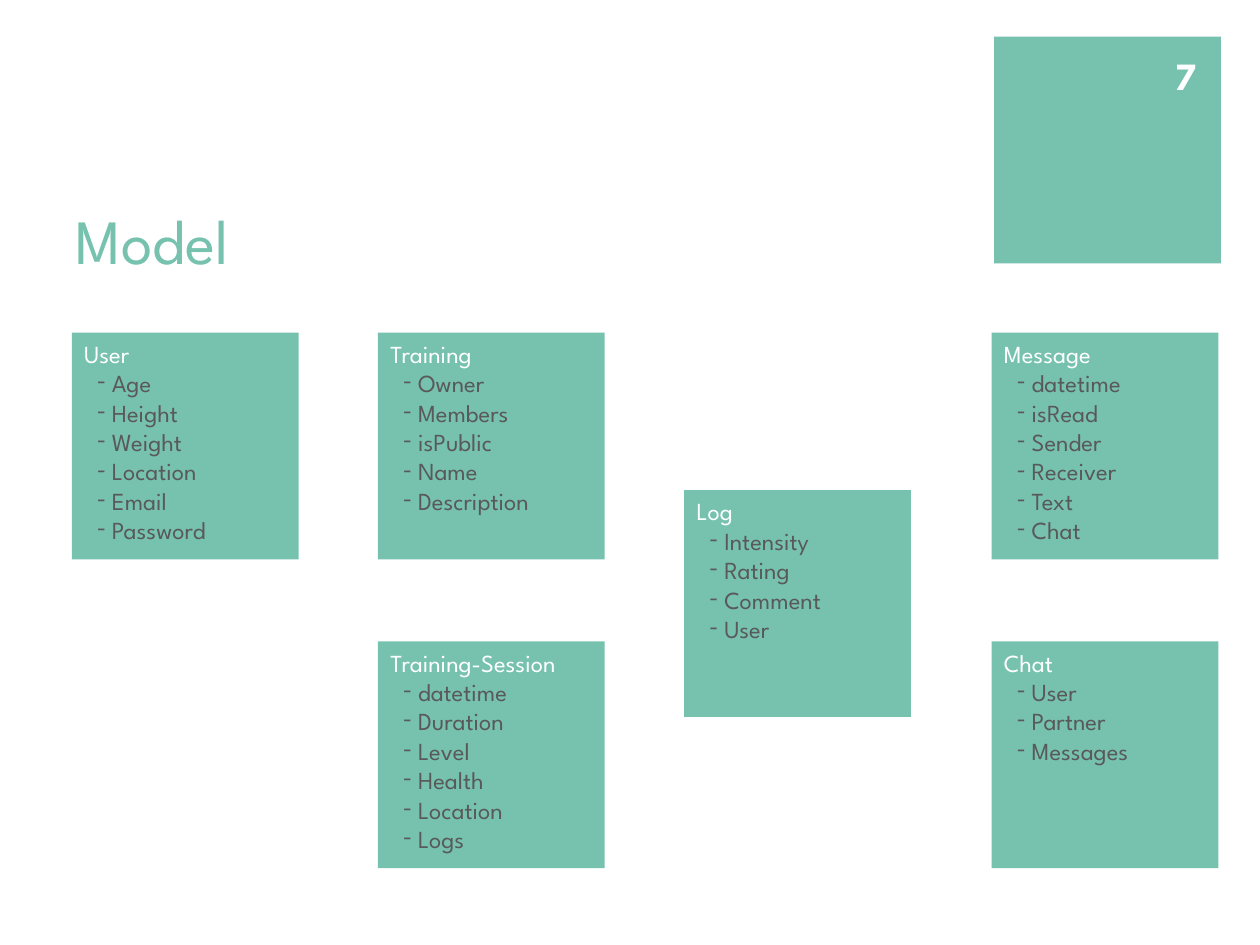
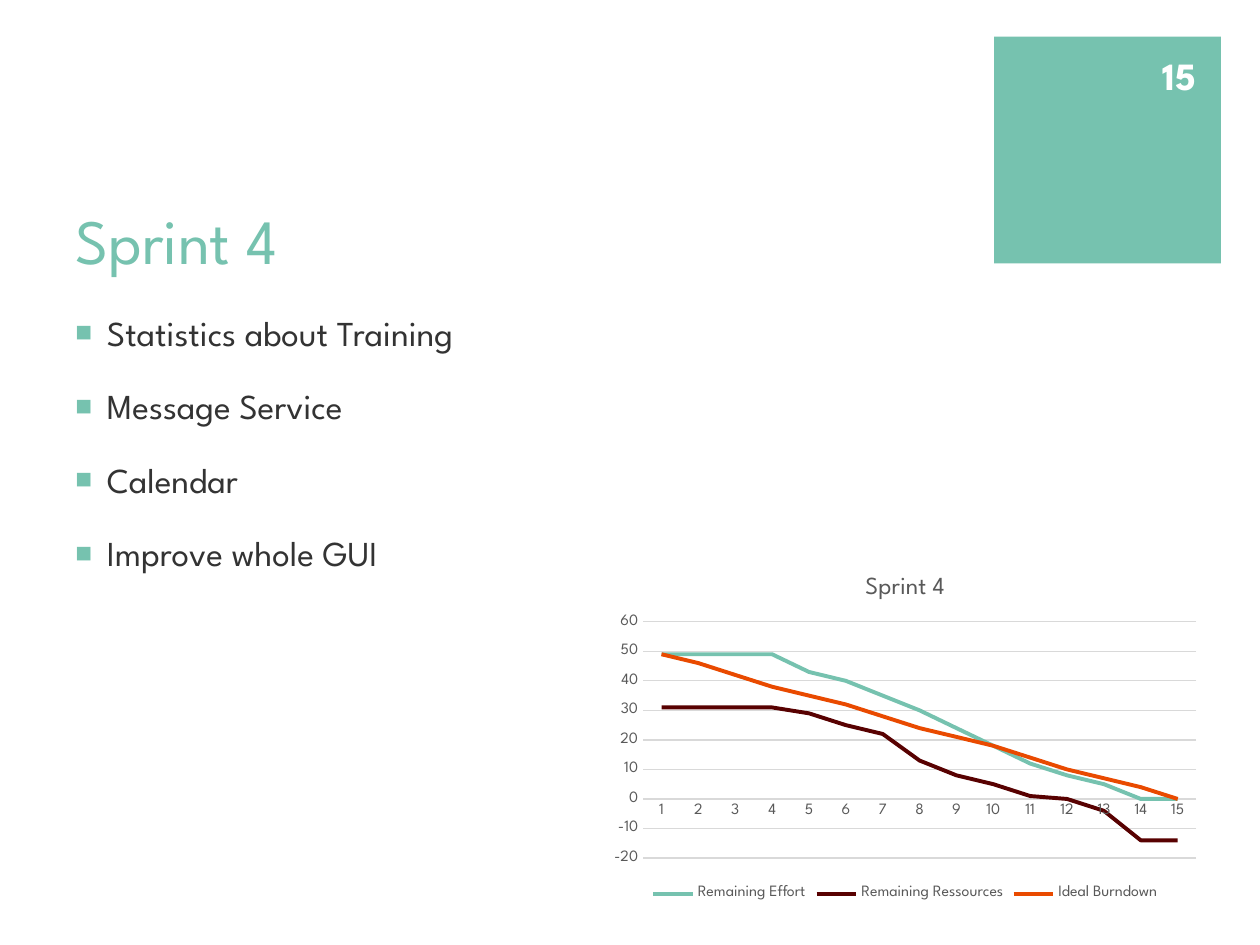
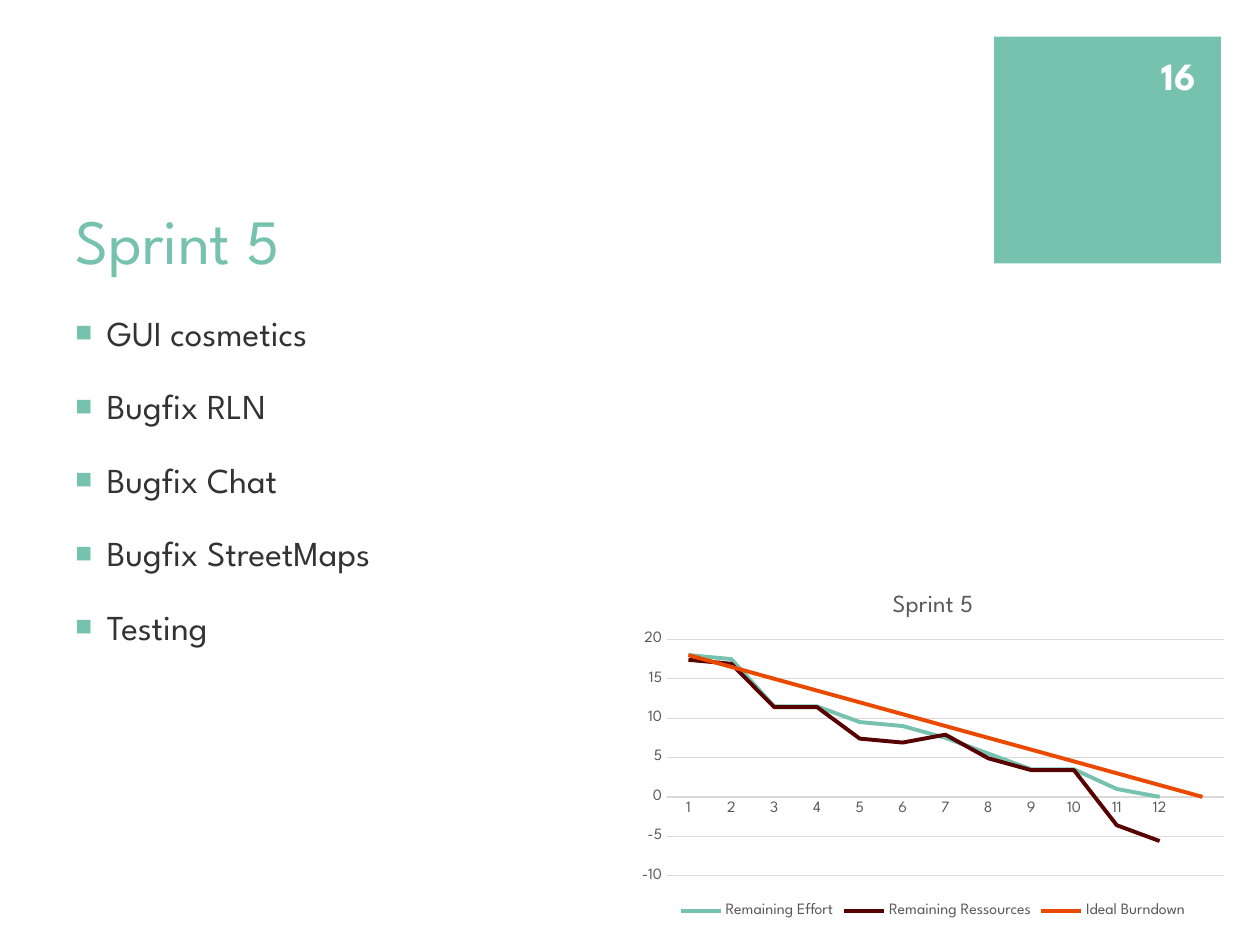
from lxml import etree
from pptx import Presentation
from pptx.chart.data import CategoryChartData
from pptx.dml.color import RGBColor
from pptx.enum.chart import XL_CHART_TYPE, XL_LEGEND_POSITION, XL_TICK_MARK
from pptx.enum.shapes import MSO_SHAPE
from pptx.enum.text import MSO_ANCHOR, MSO_AUTO_SIZE, PP_ALIGN
from pptx.oxml.ns import qn
from pptx.util import Inches, Pt

LINE = XL_CHART_TYPE.LINE
BOTTOM = XL_LEGEND_POSITION.BOTTOM
NO_TICK = XL_TICK_MARK.NONE
RECT = MSO_SHAPE.RECTANGLE
TOP, MIDDLE, BASE = MSO_ANCHOR.TOP, MSO_ANCHOR.MIDDLE, MSO_ANCHOR.BOTTOM
FIXED = MSO_AUTO_SIZE.NONE
LEFT, RIGHT = PP_ALIGN.LEFT, PP_ALIGN.RIGHT

FONT = "League Spartan"
GREEN, MAROON, ORANGE = "76C2AF", "580101", "E94A00"
WHITE, DARK, GREY, PALE = "FFFFFF", "333333", "595959", "D9D9D9"
SIDE = 1.8
COLS = [0.57, 3, 5.43, 7.87]
ROWS = [2.64, 3.89, 5.09]

CARDS = [
    (0, 0, "User", ["Age", "Height", "Weight", "Location", "Email", "Password"]),
    (1, 0, "Training", ["Owner", "Members", "isPublic", "Name", "Description"]),
    (1, 2, "Training-Session",
     ["datetime", "Duration", "Level", "Health", "Location", "Logs"]),
    (2, 1, "Log", ["Intensity", "Rating", "Comment", "User"]),
    (3, 2, "Chat", ["User", "Partner", "Messages"]),
    (3, 0, "Message", ["datetime", "isRead", "Sender", "Receiver", "Text", "Chat"]),
]
SERIES = [("Remaining Effort", GREEN), ("Remaining Ressources", MAROON),
          ("Ideal Burndown", ORANGE)]
SPRINTS = [
    {"title": "Sprint 4", "page": 15, "place": (4.78, 4.42),
     "goals": ["Statistics about Training", "Message Service", "Calendar",
               "Improve whole GUI"],
     "days": [str(day) for day in range(1, 16)], "scale": (-20, 60, 10),
     "data": [[49, 49, 49, 49, 43, 40, 35, 30, 24, 18, 12, 8, 5, 0, 0],
              [31, 31, 31, 31, 29, 25, 22, 13, 8, 5, 1, 0, -4, -14, -14],
              [round(49 - 3.5 * day) for day in range(15)]]},
    {"title": "Sprint 5", "page": 16, "place": (5, 4.56),
     "goals": ["GUI cosmetics", "Bugfix RLN", "Bugfix Chat", "Bugfix StreetMaps",
               "Testing"],
     "days": [str(day) for day in range(1, 13)] + [""], "scale": (-10, 20, 5),
     "data": [[18, 17.5, 11.5, 11.5, 9.5, 9, 7.5, 5.5, 3.5, 3.5, 1, 0, None],
              [17.4, 16.9, 11.4, 11.4, 7.4, 6.9, 7.9, 4.9, 3.4, 3.4, -3.6, -5.6,
               None],
              [18 - 1.5 * day for day in range(13)]]},
]


def rgb(code):
    """Turn a hex string into a colour."""
    return RGBColor.from_string(code)


def style(font, size, color, bold=False):
    """Set the face, size and colour of a font."""
    font.name, font.size, font.bold = FONT, Pt(size), bold
    font.color.rgb = rgb(color)


def write(para, text, size, color, bold=False, align=LEFT):
    """Fill a paragraph with one styled text."""
    para.text = text
    para.alignment = align
    for run in para.runs:
        style(run.font, size, color, bold)


def bullet(para, char, face, scale, color, left, hang):
    """Give a paragraph a coloured bullet and a hanging indent."""
    props = para._p.get_or_add_pPr()
    props.set("marL", str(Inches(left)))
    props.set("indent", str(-Inches(hang)))
    tint = etree.SubElement(props, qn("a:buClr"))
    etree.SubElement(tint, qn("a:srgbClr"), val=color)
    etree.SubElement(props, qn("a:buSzPct"), val=str(scale * 1000))
    etree.SubElement(props, qn("a:buFont"), typeface=face)
    etree.SubElement(props, qn("a:buChar"), char=char)


def add_square(slide, left, top):
    """Add a plain green square."""
    square = slide.shapes.add_shape(RECT, Inches(left), Inches(top),
                                    Inches(SIDE), Inches(SIDE))
    square.shadow.inherit = False
    square.fill.solid()
    square.fill.fore_color.rgb = rgb(GREEN)
    square.line.fill.background()
    return square


def add_box(slide, left, top, width, height):
    """Add a wrapping text box and return its frame."""
    box = slide.shapes.add_textbox(Inches(left), Inches(top),
                                   Inches(width), Inches(height))
    box.text_frame.word_wrap = True
    return box.text_frame


def add_slide(deck, title, page):
    """Add a slide with its title, corner square and page number."""
    slide = deck.slides.add_slide(deck.slide_layouts[5])
    add_square(slide, 7.89, 0.29)
    head = slide.shapes.title
    head.left, head.top = Inches(0.5), Inches(1)
    head.width, head.height = Inches(7.12), Inches(1.25)
    head.text_frame.auto_size = FIXED
    head.text_frame.vertical_anchor = BASE
    write(head.text_frame.paragraphs[0], title, 36, GREEN)
    frame = add_box(slide, 9.04, 0.4, 0.55, 0.4)
    frame.vertical_anchor = MIDDLE
    write(frame.paragraphs[0], str(page), 22, WHITE, True, RIGHT)
    return slide


def add_card(slide, col, row, name, fields):
    """Add a square that lists the fields of one class."""
    frame = add_square(slide, COLS[col], ROWS[row]).text_frame
    frame.word_wrap = True
    frame.vertical_anchor = TOP
    write(frame.paragraphs[0], name, 14, WHITE)
    for field in fields:
        para = frame.add_paragraph()
        write(para, field, 14, GREY)
        bullet(para, "-", FONT, 100, GREY, 0.22, 0.12)


def add_goals(slide, goals):
    """Add the bulleted list of sprint goals."""
    frame = add_box(slide, 0.5, 2.42, 7.12, 4.28)
    for index, goal in enumerate(goals):
        para = frame.add_paragraph() if index else frame.paragraphs[0]
        write(para, goal, 20, DARK)
        para.space_before = Pt(18)
        bullet(para, "\u25a0", "Arial", 80, GREEN, 0.25, 0.25)


def rule(line, color, width):
    """Set the colour and width of a line."""
    line.color.rgb = rgb(color)
    line.width = Pt(width)


def add_chart(slide, sprint):
    """Add the burndown chart of a sprint."""
    data = CategoryChartData()
    data.categories = sprint["days"]
    for (name, _), values in zip(SERIES, sprint["data"]):
        data.add_series(name, values)
    left, top = sprint["place"]
    chart = slide.shapes.add_chart(LINE, Inches(left), Inches(top), Inches(4.81),
                                   Inches(2.77), data).chart
    style(chart.font, 10, "000000")
    write(chart.chart_title.text_frame.paragraphs[0], sprint["title"], 14, GREY)
    chart.has_legend = True
    chart.legend.position = BOTTOM
    chart.legend.include_in_layout = False
    style(chart.legend.font, 9, GREY)
    days, hours = chart.category_axis, chart.value_axis
    for axis in (days, hours):
        axis.major_tick_mark = axis.minor_tick_mark = NO_TICK
        style(axis.tick_labels.font, 9, GREY)
    rule(days.format.line, PALE, 0.75)
    hours.format.line.fill.background()
    rule(hours.major_gridlines.format.line, PALE, 0.75)
    hours.minimum_scale, hours.maximum_scale, hours.major_unit = sprint["scale"]
    chart.plots[0].vary_by_categories = False
    for series, (_, color) in zip(chart.plots[0].series, SERIES):
        series.smooth = False
        rule(series.format.line, color, 2.25)


def main():
    """Build and save the deck."""
    deck = Presentation()
    deck.slide_width, deck.slide_height = Inches(10), Inches(7.5)
    model = add_slide(deck, "Model", 7)
    for card in CARDS:
        add_card(model, *card)
    for sprint in SPRINTS:
        slide = add_slide(deck, sprint["title"], sprint["page"])
        add_goals(slide, sprint["goals"])
        add_chart(slide, sprint)
    deck.save("out.pptx")


main()
